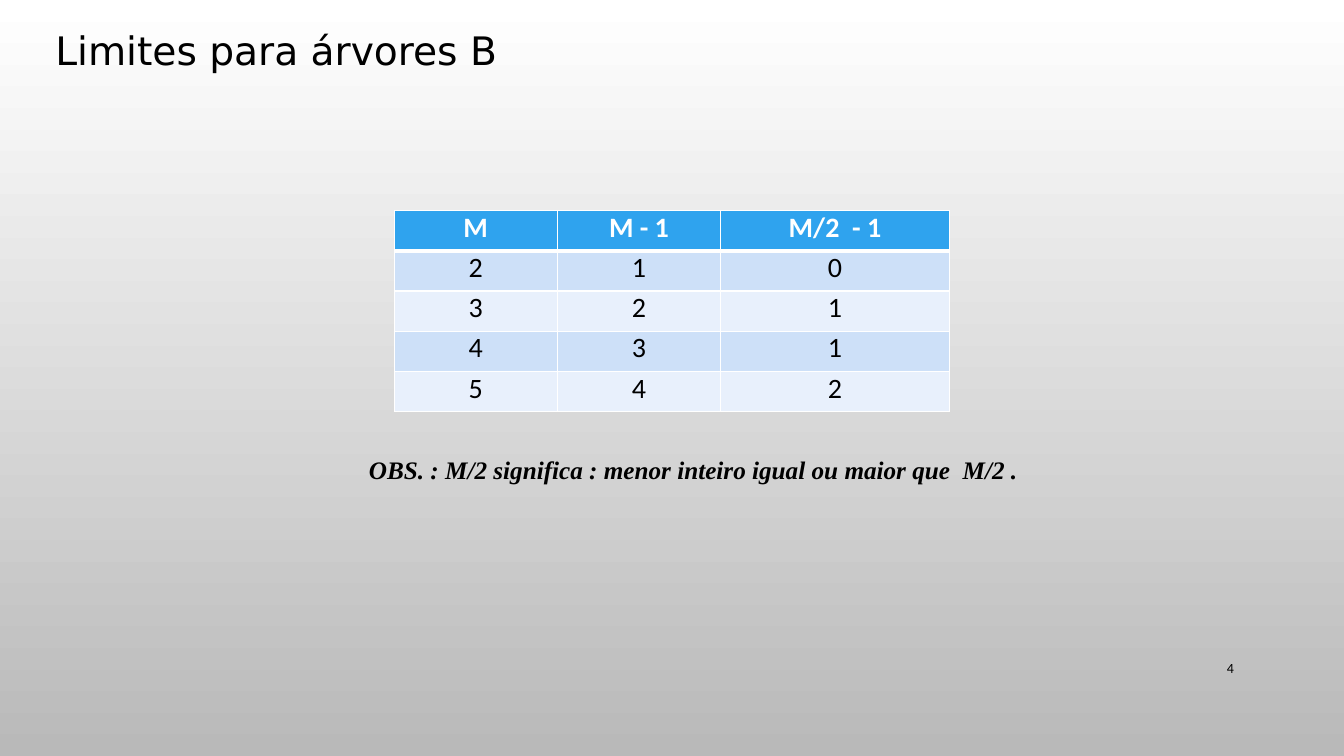
"""Build the slide on the limits of B-trees."""
from lxml import etree
from pptx import Presentation
from pptx.dml.color import RGBColor
from pptx.enum.text import MSO_ANCHOR, PP_ALIGN
from pptx.oxml.ns import qn
from pptx.util import Pt

LEFT, CENTER, RIGHT = PP_ALIGN.LEFT, PP_ALIGN.CENTER, PP_ALIGN.RIGHT
TOP, MIDDLE = MSO_ANCHOR.TOP, MSO_ANCHOR.MIDDLE

TITLE = "Limites para árvores B"
LIMITS = [
    ("M", "M - 1", "M/2  - 1"),
    ("2", "1", "0"),
    ("3", "2", "1"),
    ("4", "3", "1"),
    ("5", "4", "2"),
]
REMARK = "OBS. : M/2 significa : menor inteiro igual ou maior que  M/2 ."
PAGE_NUMBER = "4"

COLORS = {
    "text": "000000",
    "light": "FFFFFF",
    "shade": "B9B9B9",
    "header": "2FA3EE",
    "odd": "CDE0F8",
    "even": "E8F0FC",
}
COLUMN_WIDTHS = (116.64, 116.64, 163.44)
ROW_HEIGHT = 28.7
TABLE_LEFT, TABLE_TOP = 281.5, 150.5
FORMATS = {
    "title": {"name": "DejaVu Sans", "size": Pt(28), "bold": False},
    "header": {"name": "Calibri", "size": Pt(20), "bold": True},
    "body": {"name": "Calibri", "size": Pt(20), "bold": False},
    "remark": {"name": "Times New Roman", "size": Pt(18), "bold": True, "italic": True},
    "number": {"name": "Calibri", "size": Pt(10), "bold": False},
}


def color(name):
    return RGBColor.from_string(COLORS[name])


def write(frame, text, style, align, ink="text"):
    para = frame.paragraphs[0]
    para.alignment = align
    span = para.add_run()
    span.text = text
    for key, value in FORMATS[style].items():
        setattr(span.font, key, value)
    span.font.color.rgb = color(ink)


def place(box, left, top, width, height, anchor=TOP, indent=7.2, wrap=True):
    box.left, box.top, box.width, box.height = map(Pt, (left, top, width, height))
    frame = box.text_frame
    frame.word_wrap = wrap
    frame.vertical_anchor = anchor
    frame.margin_left = Pt(indent)
    frame.margin_right = Pt(0 if indent > 7.2 else 7.2)
    frame.margin_top = frame.margin_bottom = Pt(3.6)
    return frame


def add_borders(cell, widths):
    properties = cell._tc.get_or_add_tcPr()
    for side, width in widths.items():
        line = etree.SubElement(properties, qn("a:ln" + side), w=str(Pt(width)))
        fill = etree.SubElement(line, qn("a:solidFill"))
        etree.SubElement(fill, qn("a:srgbClr"), val=COLORS["light"])


def add_limits(page):
    table = page.shapes.add_table(
        len(LIMITS), len(COLUMN_WIDTHS), Pt(TABLE_LEFT), Pt(TABLE_TOP),
        Pt(sum(COLUMN_WIDTHS)), Pt(ROW_HEIGHT * len(LIMITS))).table
    for column, width in zip(table.columns, COLUMN_WIDTHS):
        column.width = Pt(width)
    for r, values in enumerate(LIMITS):
        table.rows[r].height = Pt(ROW_HEIGHT)
        style = "body" if r else "header"
        band = ("odd" if r % 2 else "even") if r else "header"
        for c, value in enumerate(values):
            cell = table.cell(r, c)
            cell.margin_left = cell.margin_right = Pt(3.6)
            cell.margin_top = cell.margin_bottom = Pt(0)
            add_borders(cell, {"L": 1, "R": 1, "T": 3 if r == 1 else 1, "B": 1 if r else 3})
            cell.fill.solid()
            cell.fill.fore_color.rgb = color(band)
            write(cell.text_frame, value, style, CENTER, "text" if r else "light")


def main():
    deck = Presentation()
    deck.slide_width, deck.slide_height = Pt(960), Pt(540)
    page = deck.slides.add_slide(deck.slide_layouts[5])

    backdrop = page.background.fill
    backdrop.gradient()
    backdrop.gradient_angle = 270
    for stop, name in zip(backdrop.gradient_stops, ("light", "shade")):
        stop.color.rgb = color(name)

    frame = place(page.shapes.title, 32.4, 15.12, 334.8, 41, wrap=False)
    write(frame, TITLE, "title", LEFT)
    add_limits(page)

    box = page.shapes.add_textbox(0, 0, 0, 0)
    frame = place(box, 220.32, 321.12, 519.12, 51.12, indent=43.2)
    write(frame, REMARK, "remark", LEFT)

    box = page.shapes.add_textbox(0, 0, 0, 0)
    frame = place(box, 828, 463, 60.5, 28.8, anchor=MIDDLE)
    write(frame, PAGE_NUMBER, "number", RIGHT)

    deck.save("out.pptx")


if __name__ == "__main__":
    main()
